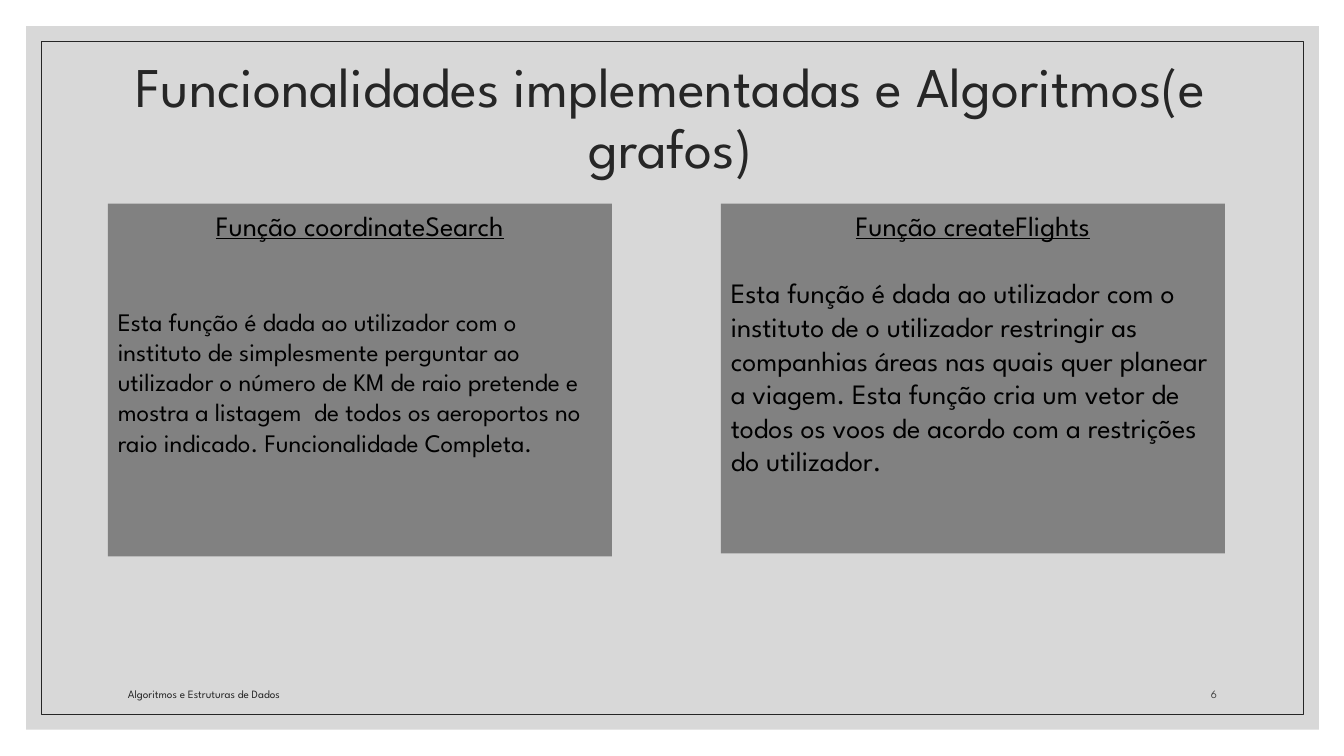
"""Builds the slide on implemented features: a framed title above two function panels."""
import pptx
import pptx.dml.color
import pptx.enum.shapes
import pptx.enum.text
import pptx.oxml
import pptx.oxml.ns
import pptx.util

Inches = pptx.util.Inches
Pt = pptx.util.Pt
Align = pptx.enum.text.PP_ALIGN
Anchor = pptx.enum.text.MSO_ANCHOR
RECTANGLE = pptx.enum.shapes.MSO_SHAPE.RECTANGLE


def paint(fill, color, opacity=100):
    fill.solid()
    fill.fore_color.rgb = pptx.dml.color.RGBColor.from_string(color)
    if opacity < 100:
        namespace = pptx.oxml.ns.nsdecls("a")
        alpha = pptx.oxml.parse_xml(f'<a:alpha {namespace} val="{opacity * 1000}"/>')
        fill._xPr.find(".//" + pptx.oxml.ns.qn("a:srgbClr")).append(alpha)


def style(para, size, color, align=Align.LEFT, underline=False):
    para.alignment = align
    for span in para.runs:
        span.font.name = "League Spartan"
        span.font.size = Pt(size)
        span.font.underline = underline
        paint(span.font.fill, color)


deck = pptx.Presentation()
deck.slide_width = Inches(13.33)
deck.slide_height = Inches(7.5)
page = deck.slides.add_slide(deck.slide_layouts[5])

backdrop = page.shapes.add_shape(
    RECTANGLE, Inches(0.26), Inches(0.26), Inches(12.82), Inches(6.98))
backdrop.shadow.inherit = False
paint(backdrop.fill, "BFBFBF", 60)
backdrop.line.fill.background()

frame = page.shapes.add_shape(
    RECTANGLE, Inches(0.41), Inches(0.41), Inches(12.52), Inches(6.68))
frame.shadow.inherit = False
frame.fill.background()
paint(frame.line.fill, "262626")
frame.line.width = Pt(0.5)

title = page.shapes.title
page.shapes.element.append(title.element)
title.left, title.top = Inches(0.38), Inches(0.44)
title.width, title.height = Inches(12.54), Inches(1.5)
title.text_frame.text = "Funcionalidades implementadas e Algoritmos(e grafos)"
title.text_frame.auto_size = pptx.enum.text.MSO_AUTO_SIZE.NONE
title.text_frame.vertical_anchor = Anchor.MIDDLE
title.text_frame.paragraphs[0].line_spacing = 0.9
style(title.text_frame.paragraphs[0], 40, "262626", Align.CENTER)

panels = [
    (1.07, 3.5, "Função coordinateSearch", 45.5, 18,
     "Esta função é dada ao utilizador com o instituto de simplesmente perguntar "
     "ao utilizador o número de KM de raio pretende e mostra a listagem  de todos "
     "os aeroportos no raio indicado. Funcionalidade Completa."),
    (7.15, 3.47, "Função createFlights", 24, 20,
     "Esta função é dada ao utilizador com o instituto de o utilizador restringir "
     "as companhias áreas nas quais quer planear a viagem. Esta função cria um "
     "vetor de todos os voos de acordo com a restrições do utilizador."),
]
for left, height, heading, gap, size, description in panels:
    panel = page.shapes.add_shape(
        RECTANGLE, Inches(left), Inches(2.02), Inches(5), Inches(height))
    panel.shadow.inherit = False
    paint(panel.fill, "000000", 40)
    panel.line.fill.background()
    panel.text_frame.word_wrap = True
    panel.text_frame.vertical_anchor = Anchor.TOP
    panel.text_frame.text = heading + "\n" + description
    heading_para, description_para = panel.text_frame.paragraphs
    heading_para.space_after = Pt(gap)
    style(heading_para, 20, "000000", Align.CENTER, underline=True)
    style(description_para, size, "000000")

footers = [
    (1.17, 6.36, "Algoritmos e Estruturas de Dados", "262626", Align.LEFT),
    (11.25, 0.92, "6", "404040", Align.RIGHT),
]
for left, width, text, color, align in footers:
    box = page.shapes.add_textbox(
        Inches(left), Inches(6.6), Inches(width), Inches(0.4))
    box.text_frame.word_wrap = True
    box.text_frame.vertical_anchor = Anchor.BOTTOM
    box.text_frame.text = text
    style(box.text_frame.paragraphs[0], 8, color, align)

deck.save("out.pptx")
